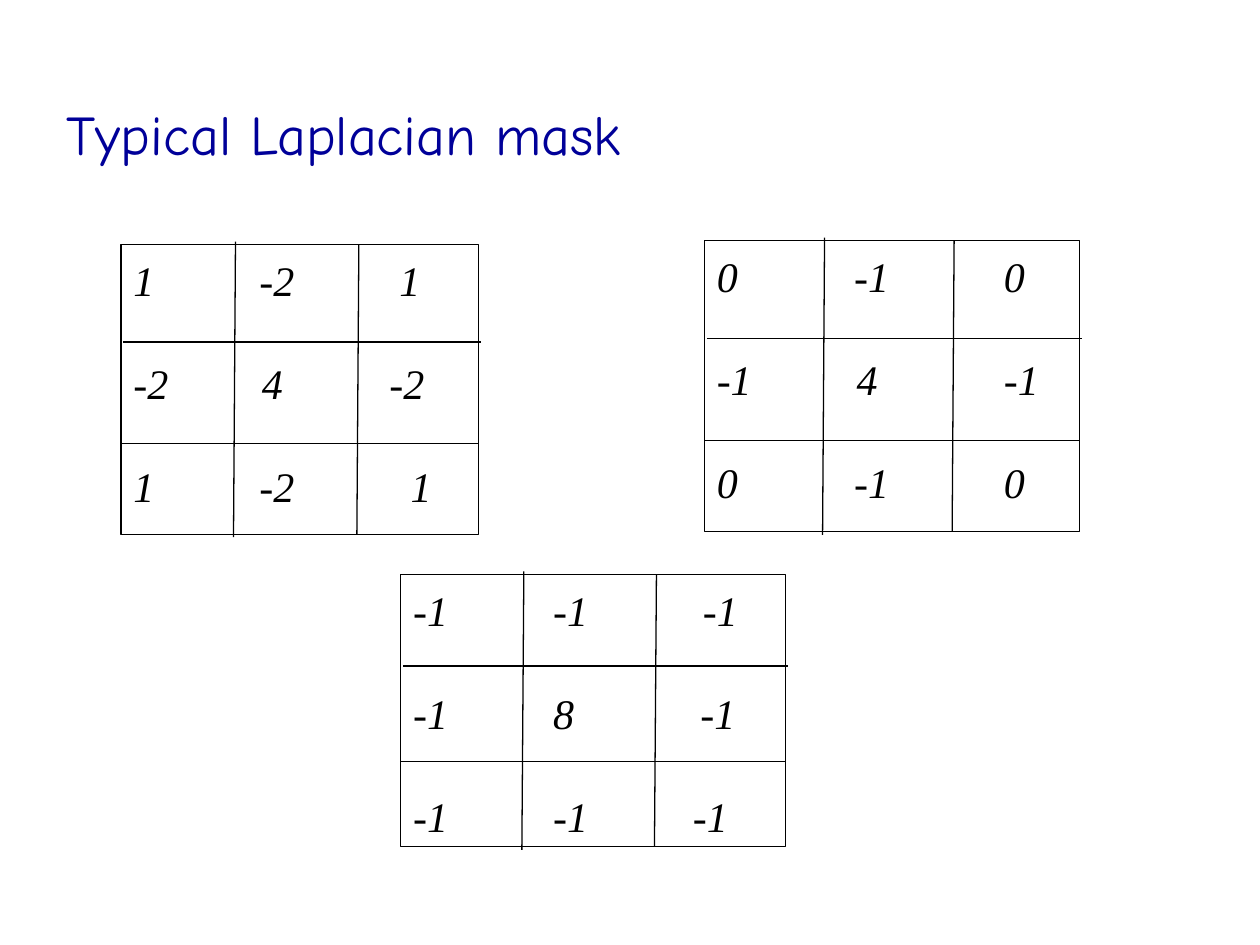
from lxml import etree
from pptx import Presentation
from pptx.dml.color import RGBColor
from pptx.enum.shapes import MSO_CONNECTOR, MSO_SHAPE
from pptx.enum.text import MSO_ANCHOR, PP_ALIGN
from pptx.oxml.ns import qn
from pptx.util import Cm, Pt

RECT, STRAIGHT = MSO_SHAPE.RECTANGLE, MSO_CONNECTOR.STRAIGHT
TOP, MIDDLE, JUSTIFY = MSO_ANCHOR.TOP, MSO_ANCHOR.MIDDLE, PP_ALIGN.JUSTIFY

THEME = {
    "title": RGBColor(0x00, 0x00, 0x99),
    "ink": RGBColor(0x00, 0x00, 0x00),
    "paper": RGBColor(0xFF, 0xFF, 0xFF),
    "title_font": "Comic Neue",
    "mask_font": "Times New Roman",
    "title_size": Pt(32),
    "mask_size": Pt(24),
    "row_gap": Pt(30),
    "line": Pt(0.75),
}

# Content: box is left, top, width, height in cm;
# each row has its values and the tab stops of columns 2 and 3 in cm
TITLE = "Typical Laplacian mask"
MASKS = [
    {"box": (14.2, 4.85, 7.57, 5.87),
     "rows": [(("0", "-1", "0"), (2.77, 5.79)),
              (("-1", "4", "-1"), (2.82, 5.79)),
              (("0", "-1", "0"), (2.77, 5.79))]},
    {"box": (8.08, 11.58, 7.75, 5.49),
     "rows": [(("-1", "-1", "-1"), (2.82, 5.84)),
              (("-1", "8", "-1"), (2.82, 5.79)),
              (("-1", "-1", "-1"), (2.82, 5.64))]},
    {"box": (2.44, 4.93, 7.21, 5.84),
     "rows": [(("1", "-2", "1"), (2.54, 5.36)),
              (("-2", "4", "-2"), (2.59, 5.16)),
              (("1", "-2", "1"), (2.54, 5.59))]},
]

# Grid rules as shares of the box, with overshoot and slant in cm
COLUMN_RULES = [(0.32, 0.06), (0.665, 0)]
ROW_RULES = [(0.336, 0.05), (0.687, 0)]
SLANT = 0.04


def style_run(r, font, size, color, italic=False):
    r.font.name, r.font.size, r.font.italic = font, size, italic
    r.font.color.rgb = color


def add_tabs(p, stops):
    tabs = etree.SubElement(p._p.get_or_add_pPr(), qn("a:tabLst"))
    for stop in stops:
        etree.SubElement(tabs, qn("a:tab"), pos=str(Cm(stop)), algn="l")


def add_rule(group, x1, y1, x2, y2):
    rule = group.shapes.add_connector(STRAIGHT, Cm(x1), Cm(y1), Cm(x2), Cm(y2))
    rule.line.color.rgb = THEME["ink"]
    rule.line.width = THEME["line"]
    etree.SubElement(rule._element.spPr, qn("a:effectLst"))


def add_mask(s, box, rows):
    left, top, width, height = box
    group = s.shapes.add_group_shape()

    # Frame with the mask values
    sp = group.shapes.add_shape(RECT, *map(Cm, box))
    sp.shadow.inherit = False
    sp.fill.solid()
    sp.fill.fore_color.rgb = THEME["paper"]
    sp.line.color.rgb = THEME["ink"]
    sp.line.width = THEME["line"]
    tf = sp.text_frame
    tf.word_wrap = True
    tf.vertical_anchor = TOP
    tf.margin_top = Cm(0.2)
    for i, (values, stops) in enumerate(rows):
        p = tf.add_paragraph() if i else tf.paragraphs[0]
        p.text = "\t".join(values)
        add_tabs(p, stops)
        p.alignment = JUSTIFY
        if i:
            p.space_before = THEME["row_gap"]
        for r in p.runs:
            style_run(r, THEME["mask_font"], THEME["mask_size"], THEME["ink"], True)

    # Grid rules
    for share, over in COLUMN_RULES:
        x = left + share * width
        add_rule(group, x, top - over, x - SLANT, top + height + over)
    for share, shift in ROW_RULES:
        y = top + share * height
        add_rule(group, left + shift, y, left + width + shift, y)


def main():
    prs = Presentation()
    prs.slide_width, prs.slide_height = Cm(25.4), Cm(19.05)
    s = prs.slides.add_slide(prs.slide_layouts[6])

    # Title
    tf = s.shapes.add_textbox(Cm(1.09), Cm(1.91), Cm(22.86), Cm(1.55)).text_frame
    tf.word_wrap = True
    tf.vertical_anchor = MIDDLE
    tf.text = TITLE
    style_run(tf.paragraphs[0].runs[0], THEME["title_font"],
              THEME["title_size"], THEME["title"])

    # Masks
    for mask in MASKS:
        add_mask(s, mask["box"], mask["rows"])

    prs.save("out.pptx")


if __name__ == "__main__":
    main()
